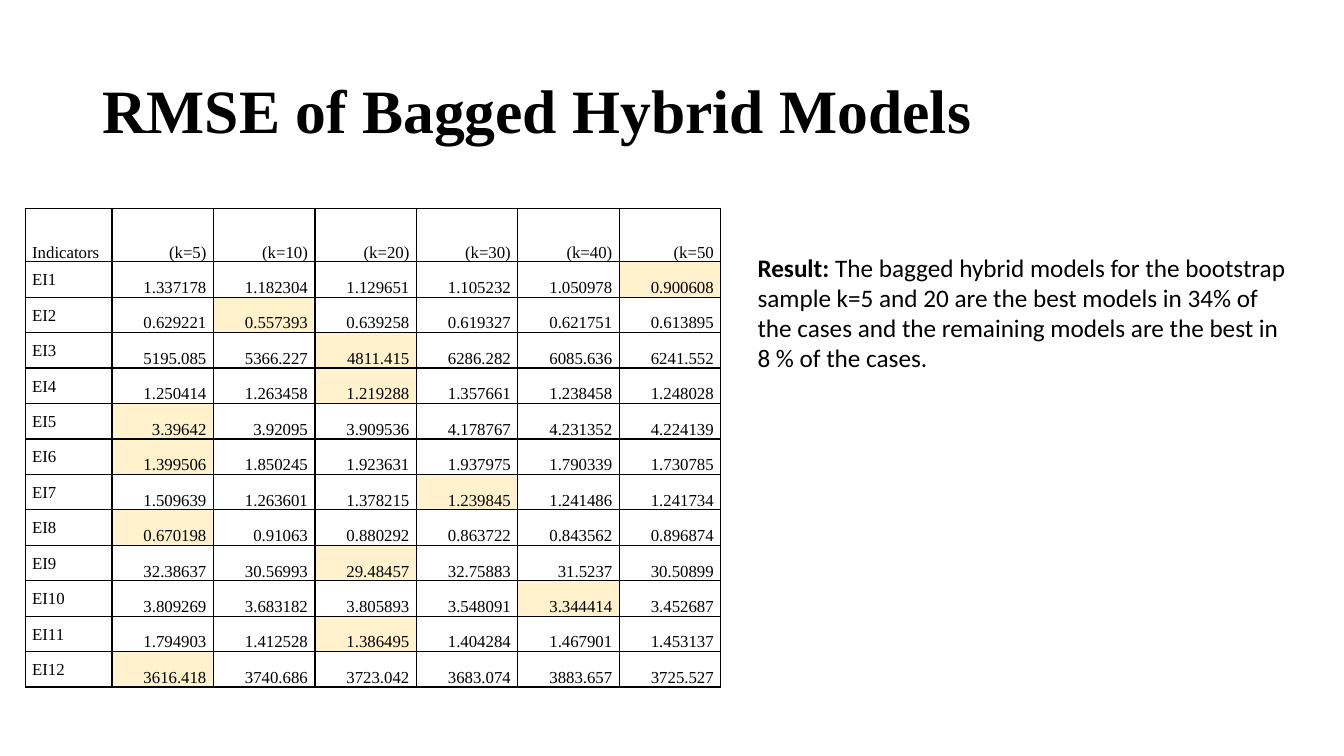
from dataclasses import dataclass

from lxml import etree
from pptx import Presentation
from pptx.dml.color import RGBColor
from pptx.enum.text import MSO_ANCHOR, PP_ALIGN
from pptx.oxml.ns import qn
from pptx.util import Pt

EMU_PER_PX = 6350
BLANK_LAYOUT = 6
LEFT, RIGHT = PP_ALIGN.LEFT, PP_ALIGN.RIGHT
MIDDLE, BOTTOM, TOP = MSO_ANCHOR.MIDDLE, MSO_ANCHOR.BOTTOM, MSO_ANCHOR.TOP


@dataclass(frozen=True)
class Theme:
    ink: str = "000000"
    best: str = "FFF2CC"
    serif: str = "Times New Roman"
    sans: str = "Calibri"
    title_size: int = 44
    body_size: int = 18
    table_size: int = 12
    border_width: int = 1


THEME = Theme()

HEADINGS = ["Indicators", "(k=5)", "(k=10)", "(k=20)", "(k=30)", "(k=40)", "(k=50"]
RMSE = [
    ["1.337178", "1.182304", "1.129651", "1.105232", "1.050978", "0.900608"],
    ["0.629221", "0.557393", "0.639258", "0.619327", "0.621751", "0.613895"],
    ["5195.085", "5366.227", "4811.415", "6286.282", "6085.636", "6241.552"],
    ["1.250414", "1.263458", "1.219288", "1.357661", "1.238458", "1.248028"],
    ["3.39642", "3.92095", "3.909536", "4.178767", "4.231352", "4.224139"],
    ["1.399506", "1.850245", "1.923631", "1.937975", "1.790339", "1.730785"],
    ["1.509639", "1.263601", "1.378215", "1.239845", "1.241486", "1.241734"],
    ["0.670198", "0.91063", "0.880292", "0.863722", "0.843562", "0.896874"],
    ["32.38637", "30.56993", "29.48457", "32.75883", "31.5237", "30.50899"],
    ["3.809269", "3.683182", "3.805893", "3.548091", "3.344414", "3.452687"],
    ["1.794903", "1.412528", "1.386495", "1.404284", "1.467901", "1.453137"],
    ["3616.418", "3740.686", "3723.042", "3683.074", "3883.657", "3725.527"],
]
RESULT = [
    ("Result: ", True),
    ("The bagged hybrid models for the bootstrap sample k=5 and 20 are the best "
     "models in 34% of the cases and the remaining models are the best in "
     "8 % of the cases.", False),
]


def px(length):
    return length * EMU_PER_PX


def style_font(font, family, size, bold=False):
    font.name = family
    font.size = Pt(size)
    font.bold = bold
    font.color.rgb = RGBColor.from_string(THEME.ink)


def add_text(slide, box, phrases, family, size, anchor=TOP, spacing=None):
    frame = slide.shapes.add_textbox(*map(px, box)).text_frame
    frame.word_wrap = True
    frame.vertical_anchor = anchor
    paragraph = frame.paragraphs[0]
    paragraph.line_spacing = spacing
    for words, bold in phrases:
        run = paragraph.add_run()
        run.text = words
        style_font(run.font, family, size, bold)


def add_borders(cell):
    properties = cell._tc.get_or_add_tcPr()
    for index, side in enumerate(("a:lnL", "a:lnR", "a:lnT", "a:lnB")):
        border = etree.Element(qn(side), w=str(Pt(THEME.border_width)))
        fill = etree.SubElement(border, qn("a:solidFill"))
        etree.SubElement(fill, qn("a:srgbClr"), val=THEME.ink)
        properties.insert(index, border)


def fill_cell(cell, words, align, anchor, best):
    cell.margin_left = cell.margin_right = px(10)
    cell.margin_top = cell.margin_bottom = 0
    cell.vertical_anchor = anchor
    if best:
        cell.fill.solid()
        cell.fill.fore_color.rgb = RGBColor.from_string(THEME.best)
    else:
        cell.fill.background()
    add_borders(cell)
    paragraph = cell.text_frame.paragraphs[0]
    paragraph.text = words
    paragraph.alignment = align
    paragraph.line_spacing = 1.07
    style_font(paragraph.runs[0].font, THEME.serif, THEME.table_size)


def add_rmse_table(slide, left, top):
    label_width, value_width = 124, 145
    header_height, body_height = 76, 608
    width = label_width + value_width * (len(HEADINGS) - 1)
    table = slide.shapes.add_table(
        len(RMSE) + 1, len(HEADINGS),
        px(left), px(top), px(width), px(header_height + body_height)).table
    table.first_row = table.horz_banding = False
    for index, column in enumerate(table.columns):
        column.width = px(value_width if index else label_width)
    for index, row in enumerate(table.rows):
        row.height = px(body_height) // len(RMSE) if index else px(header_height)

    for column, heading in enumerate(HEADINGS):
        fill_cell(table.cell(0, column), heading, RIGHT if column else LEFT, BOTTOM, False)
    for row, values in enumerate(RMSE, 1):
        fill_cell(table.cell(row, 0), f"EI{row}", LEFT, MIDDLE, False)
        lowest = min(values, key=float)
        for column, value in enumerate(values, 1):
            fill_cell(table.cell(row, column), value, RIGHT, BOTTOM, value == lowest)


def main():
    presentation = Presentation()
    presentation.slide_width = px(1920)
    presentation.slide_height = px(1080)
    slide = presentation.slides.add_slide(presentation.slide_layouts[BLANK_LAYOUT])
    add_text(slide, (132, 58, 1656, 209), [("RMSE of Bagged Hybrid Models", True)],
             THEME.serif, THEME.title_size, MIDDLE, 0.9)
    add_rmse_table(slide, 36, 298)
    add_text(slide, (1068, 353, 785, 233), RESULT, THEME.sans, THEME.body_size)
    presentation.save("out.pptx")


if __name__ == "__main__":
    main()
